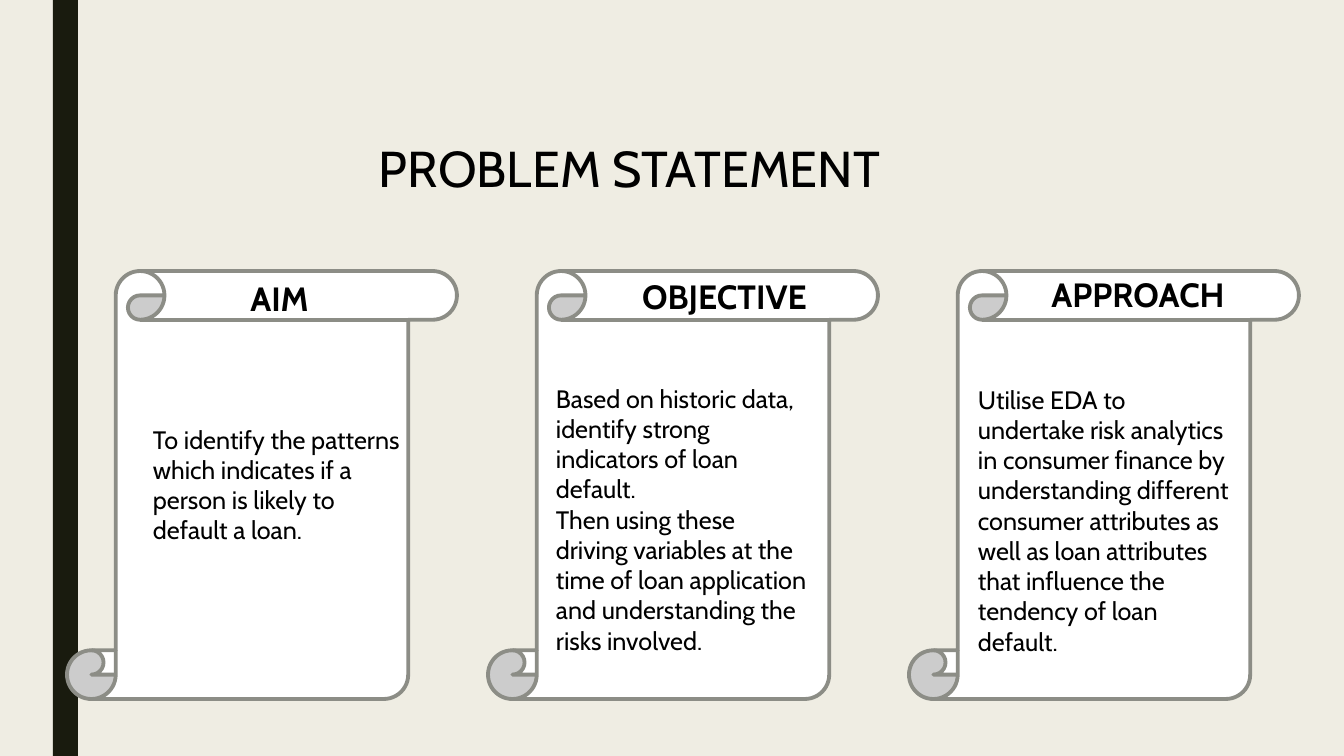
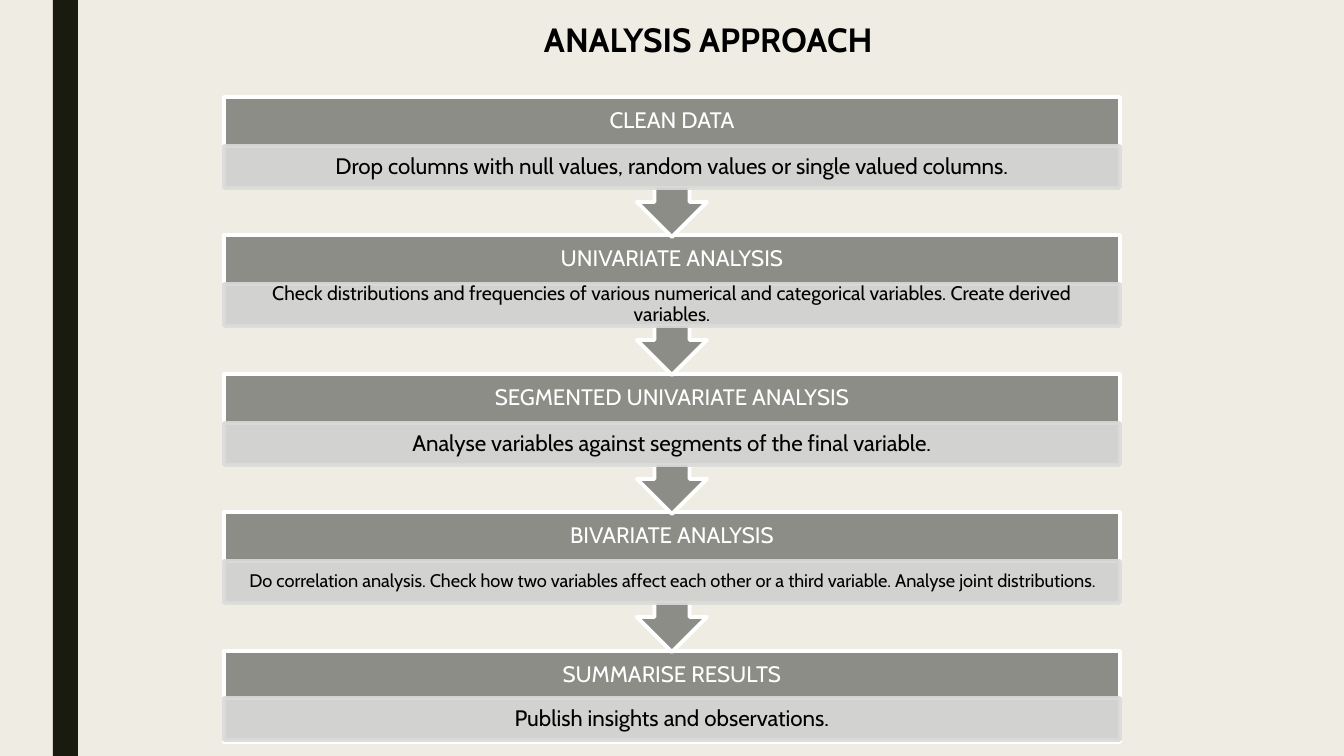
from lxml import etree
from pptx import Presentation
from pptx.dml.color import RGBColor
from pptx.enum.shapes import MSO_SHAPE
from pptx.enum.text import MSO_ANCHOR, MSO_AUTO_SIZE, PP_ALIGN
from pptx.oxml.ns import qn
from pptx.util import Pt

RECT = MSO_SHAPE.RECTANGLE
SCROLL = MSO_SHAPE.VERTICAL_SCROLL
CALLOUT = MSO_SHAPE.DOWN_ARROW_CALLOUT
LEFT, CENTER = PP_ALIGN.LEFT, PP_ALIGN.CENTER
TOP, MIDDLE = MSO_ANCHOR.TOP, MSO_ANCHOR.MIDDLE
GROW, FIXED = MSO_AUTO_SIZE.SHAPE_TO_FIT_TEXT, MSO_AUTO_SIZE.NONE

WIDE, HIGH = 1344, 756
FONT = "Cabin"
PAPER, BAND, GREY, PALE = "EFEDE3", "191B0E", "8C8D86", "DADBD9"
BLACK, WHITE = "000000", "FFFFFF"
STROKE = 2.75

CARDS = [
    ("AIM", (126, 2, 173, 50),
     "To identify the patterns which indicates if a person is likely to default a loan.",
     (76, 148, 275, 132)),
    ("OBJECTIVE", (103, 0, 267, 50),
     "Based on historic data, identify strong indicators of loan default.\n"
     "Then using these driving variables at the time of loan application "
     "and understanding the risks involved.",
     (58, 107, 275, 285)),
    ("APPROACH", (116, -2, 226, 50),
     "Utilise EDA to undertake risk analytics in consumer finance by understanding "
     "different consumer attributes as well as loan attributes that influence the "
     "tendency of loan default.",
     (59, 108, 275, 285)),
]

STEPS = [
    ("CLEAN DATA",
     "Drop columns with null values, random values or single valued columns.", 16),
    ("UNIVARIATE ANALYSIS",
     "Check distributions and frequencies of various numerical and categorical "
     "variables. Create derived variables.", 14),
    ("SEGMENTED UNIVARIATE ANALYSIS",
     "Analyse variables against segments of the final variable.", 16),
    ("BIVARIATE ANALYSIS",
     "Do correlation analysis. Check how two variables affect each other or a third "
     "variable. Analyse joint distributions.", 13),
    ("SUMMARISE RESULTS", "Publish insights and observations.", 16),
]


def px(num):
    """Turn px into EMU."""
    return round(num * 12192000 / WIDE)


def paint(fill, color):
    """Give a fill one solid colour."""
    fill.solid()
    fill.fore_color.rgb = RGBColor.from_string(color)


def fade(shape, share):
    """Make the fill and line of a shape partly see-through."""
    for tone in shape.element.spPr.iter(qn("a:srgbClr")):
        etree.SubElement(tone, qn("a:alpha"), val=str(share * 1000))


def draw(slide, kind, box, fill, line=None):
    """Add a preset shape without a shadow."""
    shape = slide.shapes.add_shape(kind, *map(px, box))
    shape.shadow.inherit = False
    paint(shape.fill, fill)
    if line:
        paint(shape.line.fill, line)
        shape.line.width = Pt(STROKE)
    else:
        shape.line.fill.background()
    return shape


def write(shape, text, size, color=BLACK, bold=False, align=CENTER,
          anchor=TOP, fit=FIXED, pads=(10, 5, 10, 5), lead=1.0):
    """Set the text of a shape and format it."""
    frame = shape.text_frame
    frame.text = text
    frame.word_wrap = True
    frame.auto_size = fit
    frame.vertical_anchor = anchor
    (frame.margin_left, frame.margin_top,
     frame.margin_right, frame.margin_bottom) = map(px, pads)
    for para in frame.paragraphs:
        para.alignment = align
        para.line_spacing = lead
        for run in para.runs:
            run.font.name = FONT
            run.font.size = Pt(size)
            run.font.bold = bold
            run.font.color.rgb = RGBColor.from_string(color)


def label(slide, box, text, size, **style):
    """Add a text box that grows with its text."""
    note = slide.shapes.add_textbox(*map(px, box))
    write(note, text, size, fit=GROW, **style)


def start(deck, title, box, size, **style):
    """Add a slide and place its title."""
    slide = deck.slides.add_slide(deck.slide_layouts[5])
    head = slide.shapes.title
    head.left, head.top, head.width, head.height = map(px, box)
    write(head, title, size, **style)
    return slide


def dress(deck, slide):
    """Put the background and side band on the master."""
    master = deck.slide_master
    paint(master.background.fill, PAPER)
    band = draw(slide, RECT, (53, 0, 25, HIGH), BAND).element
    band.nvSpPr.cNvPr.set("id", "20")
    master.shapes[0].element.addprevious(band)


def shift(box, left, top):
    """Move a relative box to its place on the slide."""
    x, y, wide, high = box
    return left + x, top + y, wide, high


def card(slide, box, head, spot, body, area):
    """Draw a scroll with a heading and a body."""
    left, top = box[:2]
    draw(slide, SCROLL, box, WHITE, GREY)
    label(slide, shift(spot, left, top), head, 24, bold=True)
    label(slide, shift(area, left, top), body, 18, align=LEFT)


def step(slide, box, head, body, size, last):
    """Draw one stage with its detail strip, and an arrow unless last."""
    left, top, wide, high = box
    strip, full = 42, 91
    kind, tall = (RECT, full) if last else (CALLOUT, high)
    stage = draw(slide, kind, (left, top, wide, tall), GREY, WHITE)
    write(stage, head, 16, WHITE, anchor=MIDDLE, pads=(12, 0, 12, strip), lead=0.9)
    drop = 47 if last else 49
    detail = draw(slide, RECT, (left, top + drop, wide, strip), PALE, PALE)
    fade(detail, 90)
    write(detail, body, size, anchor=MIDDLE, pads=(12, 2, 12, 2), lead=0.9)


def problem(deck):
    """Build the slide with three scrolls."""
    slide = start(deck, "PROBLEM STATEMENT", (344, 132, 571, 72), 36)
    dress(deck, slide)
    for i, parts in enumerate(CARDS):
        card(slide, (67 + 421 * i, 271, 390, 428), *parts)


def method(deck):
    """Build the slide with the chain of stages."""
    slide = start(deck, "ANALYSIS APPROACH", (534, 14, 672, 50), 24,
                  bold=True, align=LEFT)
    end = len(STEPS) - 1
    for i, parts in reversed(list(enumerate(STEPS))):
        top = 97 + 554 * i // end
        step(slide, (224, top, 896, 140), *parts, i == end)


def main():
    """Build and save the deck."""
    deck = Presentation()
    deck.slide_width, deck.slide_height = px(WIDE), px(HIGH)
    problem(deck)
    method(deck)
    deck.save("out.pptx")


if __name__ == "__main__":
    main()
